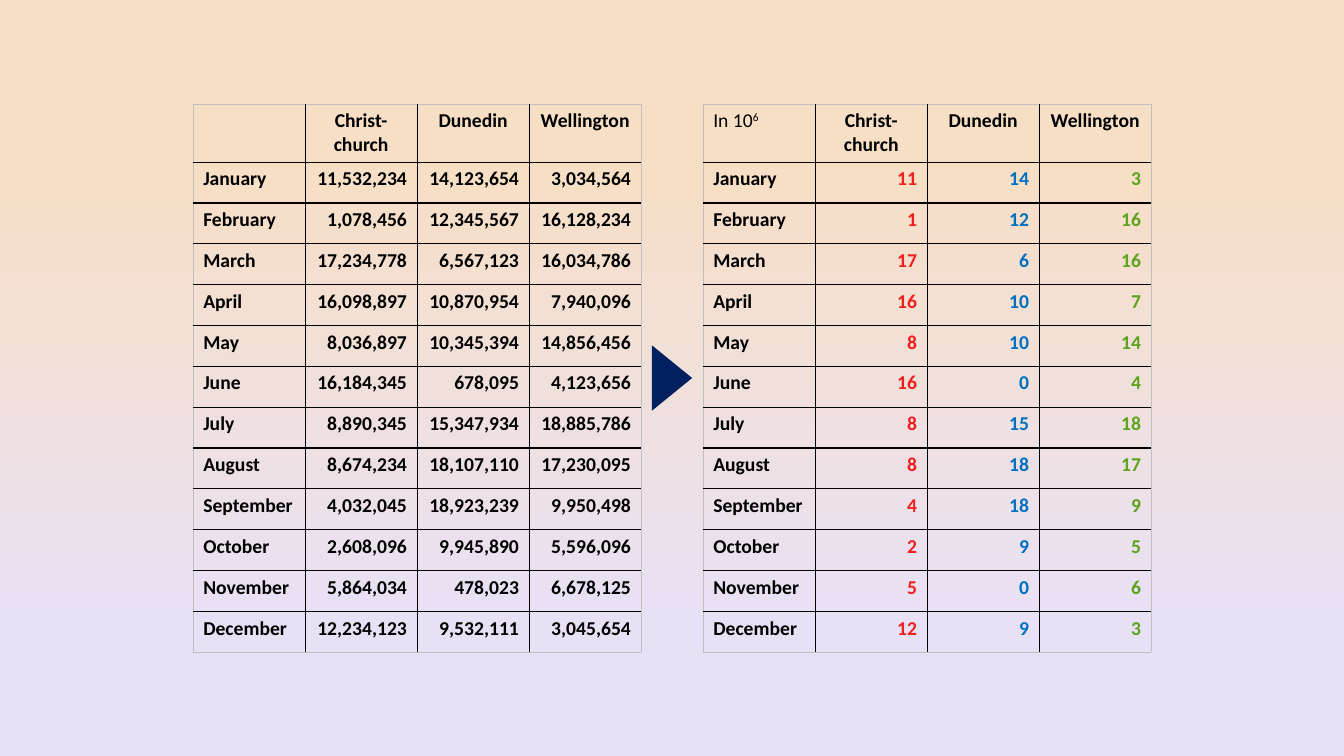
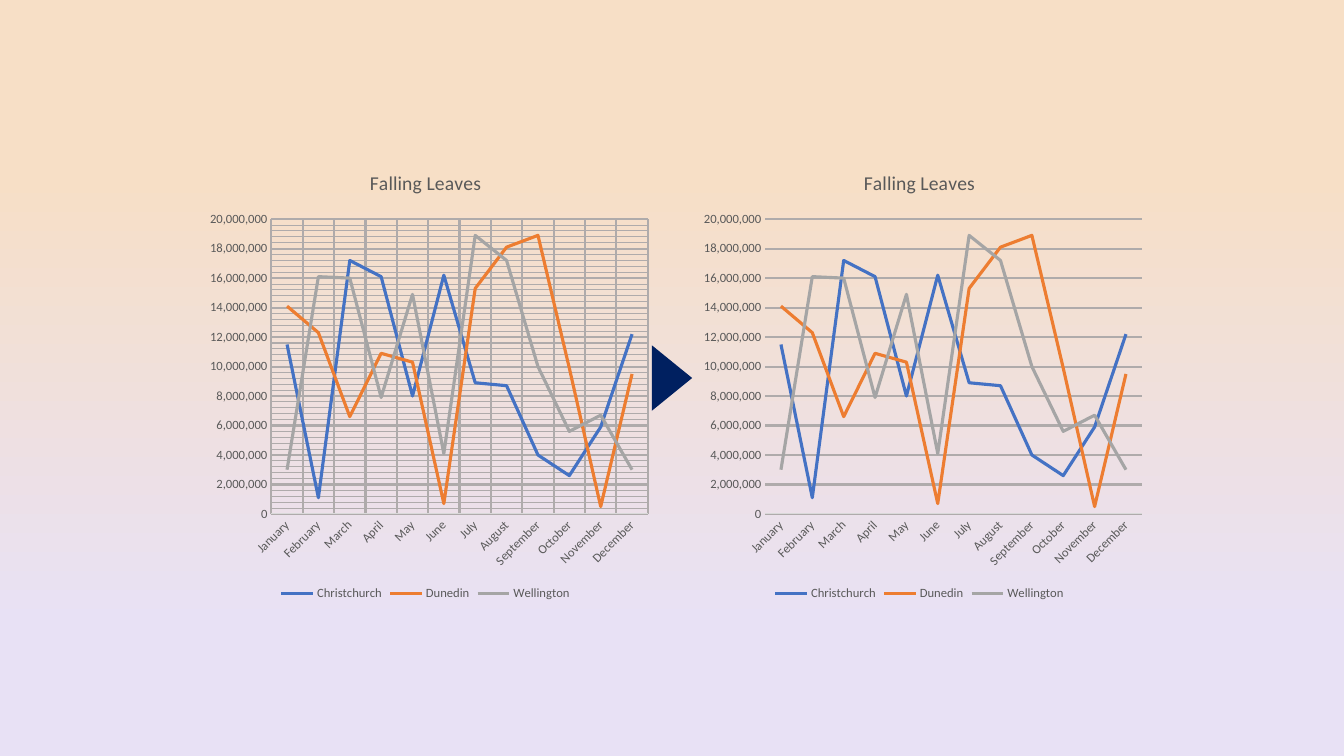
from lxml.etree import SubElement
from pptx import Presentation
from pptx.chart.data import CategoryChartData
from pptx.dml.color import RGBColor
from pptx.enum.chart import XL_CHART_TYPE, XL_LEGEND_POSITION, XL_TICK_MARK
from pptx.enum.shapes import MSO_SHAPE
from pptx.enum.text import PP_ALIGN
from pptx.oxml import parse_xml
from pptx.oxml.ns import nsdecls, qn
from pptx.util import Pt

HUES = {
    "ink": "000000", "edge": "BFBFBF", "navy": "002060",
    "sand": "F7DFC6", "lilac": "E8E1F5",
    "red": "EF1F1D", "blue": "0070C0", "green": "5DA31E",
    "gray": "595959", "grid": "AFABAB", "axis": "D9D9D9",
    "Christchurch": "4472C4", "Dunedin": "ED7D31", "Wellington": "A5A5A5",
}
FONT = "Calibri"
CITIES = ["Christchurch", "Dunedin", "Wellington"]
HEADS = ["Christ-church", "Dunedin", "Wellington"]
LEAVES = {
    "January": (11532234, 14123654, 3034564),
    "February": (1078456, 12345567, 16128234),
    "March": (17234778, 6567123, 16034786),
    "April": (16098897, 10870954, 7940096),
    "May": (8036897, 10345394, 14856456),
    "June": (16184345, 678095, 4123656),
    "July": (8890345, 15347934, 18885786),
    "August": (8674234, 18107110, 17230095),
    "September": (4032045, 18923239, 9950498),
    "October": (2608096, 9945890, 5596096),
    "November": (5864034, 478023, 6678125),
    "December": (12234123, 9532111, 3045654),
}
PLOT = {"x": 0.16, "y": 0.15, "w": 0.83, "h": 0.65}


def color(hue):
    return RGBColor.from_string(HUES[hue])


def apply(item, values):
    for name, value in values.items():
        setattr(item, name, value)


def style(font, size, hue="ink", bold=False):
    apply(font, {"name": FONT, "size": Pt(size), "bold": bold})
    font.color.rgb = color(hue)


def stroke(line, hue, width):
    line.color.rgb = color(hue)
    line.width = Pt(width)


def paint(master):
    fill = master.background.fill
    fill.gradient()
    fill.gradient_angle = 270
    stops = master.element.find(".//" + qn("a:gsLst"))
    for stop in list(stops):
        stops.remove(stop)
    for spot, hue in ((0, "sand"), (23, "sand"), (83, "lilac"), (100, "lilac")):
        stop = SubElement(stops, qn("a:gs"), pos=str(spot * 1000))
        SubElement(stop, qn("a:srgbClr"), val=HUES[hue])


def arrow(slide, box):
    mark = slide.shapes.add_shape(MSO_SHAPE.ISOSCELES_TRIANGLE, *map(Pt, box))
    mark.rotation = 90
    mark.shadow.inherit = False
    mark.fill.solid()
    mark.fill.fore_color.rgb = color("navy")
    mark.line.fill.background()


def border(cell, outer):
    props = cell._tc.get_or_add_tcPr()
    for rank, side in enumerate("LRTB"):
        hue, width = ("edge", 0.5) if outer[side] else ("ink", 1)
        props.insert(rank, parse_xml(
            f'<a:ln{side} {nsdecls("a")} w="{Pt(width)}"><a:solidFill>'
            f'<a:srgbClr val="{HUES[hue]}"/></a:solidFill></a:ln{side}>'))


def write(cell, text, align, hue="ink", bold=True):
    para = cell.text_frame.paragraphs[0]
    para.alignment = align
    run = para.add_run()
    run.text = text
    style(run.font, 14, hue, bold)
    return run


def table(slide, box, show, hues, unit=""):
    left, top, width, height = box
    rows, cols = len(LEAVES) + 1, len(HEADS) + 1
    grid = slide.shapes.add_table(rows, cols, *map(Pt, box)).table
    apply(grid, {"first_row": False, "horz_banding": False})
    grid._tbl.tblPr.find(qn("a:tableStyleId")).text = "{2D5ABB26-0587-4C30-8999-92F81FD0307C}"
    first = 41.4
    for row in grid.rows:
        row.height = Pt((height - first) / (rows - 1))
    grid.rows[0].height = Pt(first)
    for col in grid.columns:
        col.width = Pt(width / cols)
    for r in range(rows):
        for c in range(cols):
            cell = grid.cell(r, c)
            cell.fill.background()
            border(cell, {"L": c == 0, "R": c == cols - 1, "T": r == 0, "B": r == rows - 1})
    if unit:
        write(grid.cell(0, 0), unit, PP_ALIGN.LEFT, bold=False)
        power = write(grid.cell(0, 0), "6", PP_ALIGN.LEFT, bold=False)
        power._r.get_or_add_rPr().set("baseline", "30000")
    for c, head in enumerate(HEADS, 1):
        write(grid.cell(0, c), head, PP_ALIGN.CENTER)
    for r, (month, counts) in enumerate(LEAVES.items(), 1):
        write(grid.cell(r, 0), month, PP_ALIGN.LEFT)
        for c, (count, hue) in enumerate(zip(counts, hues), 1):
            write(grid.cell(r, c), show(count), PP_ALIGN.RIGHT, hue)


def clear(chart):
    blank = f'<c:spPr {nsdecls("c", "a")}><a:noFill/><a:ln><a:noFill/></a:ln></c:spPr>'
    space = chart._chartSpace
    space.find(qn("c:txPr")).addprevious(parse_xml(blank))
    plot = space.find(".//" + qn("c:plotArea"))
    plot.append(parse_xml(blank))
    for old in plot.findall(qn("c:layout")):
        plot.remove(old)
    frame = parse_xml(f'<c:layout {nsdecls("c")}><c:manualLayout/></c:layout>')
    rules = {"layoutTarget": "inner", "xMode": "edge", "yMode": "edge", **PLOT}
    for name, value in rules.items():
        SubElement(frame[0], qn("c:" + name), val=str(value))
    plot.insert(0, frame)


def graph(slide, box, dense):
    data = CategoryChartData(number_format="#,##0")
    data.categories = list(LEAVES)
    for city, counts in zip(CITIES, zip(*LEAVES.values())):
        data.add_series(city, [round(count, -5) for count in counts])
    chart = slide.shapes.add_chart(XL_CHART_TYPE.LINE, *map(Pt, box), data).chart
    style(chart.font, 10)
    apply(chart, {"has_title": True, "has_legend": True})
    title = chart.chart_title
    title.include_in_layout = False
    title.text_frame.text = "Falling Leaves"
    style(title.text_frame.paragraphs[0].runs[0].font, 14, "gray")
    apply(chart.legend, {"position": XL_LEGEND_POSITION.BOTTOM, "include_in_layout": False})
    style(chart.legend.font, 9, "gray")
    chart.plots[0].vary_by_categories = False
    for line in chart.plots[0].series:
        line.smooth = False
        stroke(line.format.line, line.name, 2.25)

    months, scale = chart.category_axis, chart.value_axis
    for axis, lines in ((months, dense), (scale, True)):
        apply(axis, {"major_tick_mark": XL_TICK_MARK.NONE,
                     "minor_tick_mark": XL_TICK_MARK.NONE,
                     "has_major_gridlines": lines})
        style(axis.tick_labels.font, 9, "gray")
        if lines:
            stroke(axis.major_gridlines.format.line, "grid", 1.5)
    stroke(months.format.line, "axis", 0.75)
    months._element.find(qn("c:txPr")).find(qn("a:bodyPr")).set("rot", "-2700000")
    scale.format.line.fill.background()
    apply(scale, {"minimum_scale": 0, "maximum_scale": 20000000,
                  "major_unit": 2000000, "minor_unit": 400000,
                  "has_minor_gridlines": dense})
    apply(scale.tick_labels, {"number_format": "#,##0", "number_format_is_linked": False})
    if dense:
        scale._element.find(qn("c:minorGridlines")).append(parse_xml(
            f'<c:spPr {nsdecls("c", "a")}><a:ln w="{Pt(0.75)}"><a:solidFill>'
            f'<a:srgbClr val="{HUES["grid"]}"/></a:solidFill></a:ln></c:spPr>'))
    clear(chart)


def main():
    deck = Presentation()
    apply(deck, {"slide_width": Pt(960), "slide_height": Pt(540)})
    paint(deck.slide_master)
    counts, trends = [deck.slides.add_slide(deck.slide_layouts[6]) for _ in range(2)]
    table(counts, (138, 74.4, 320, 391.6), "{:,}".format, ["ink"] * 3)
    table(counts, (502.3, 74.4, 320, 391.6), lambda count: str(count // 10**6),
          ["red", "blue", "green"], "In 10")
    graph(trends, (494.8, 108, 324, 324), False)
    graph(trends, (142, 108, 324, 324), True)
    for slide in (counts, trends):
        arrow(slide, (456.6, 255.6, 46.8, 28.8))
    deck.save("out.pptx")


if __name__ == "__main__":
    main()
